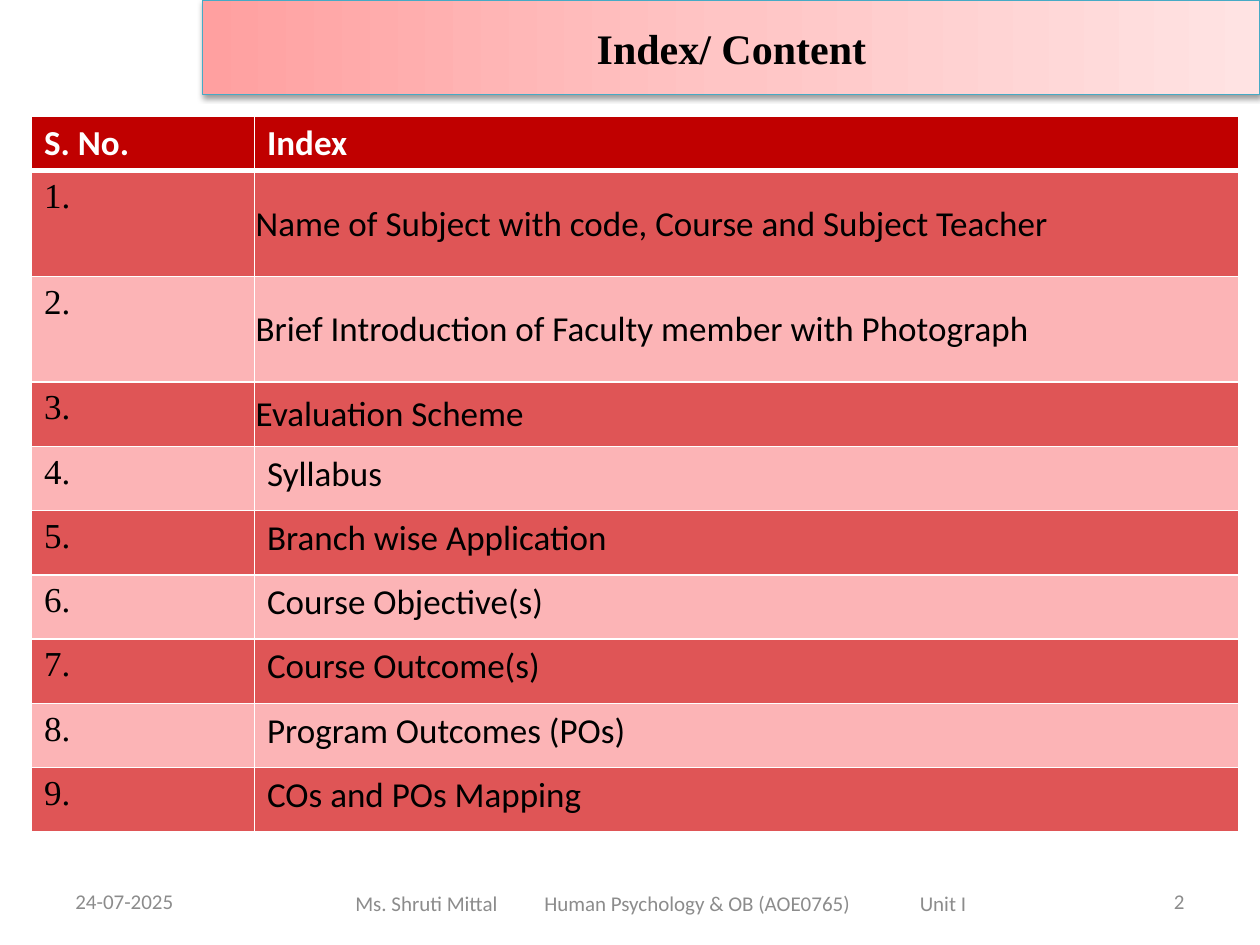
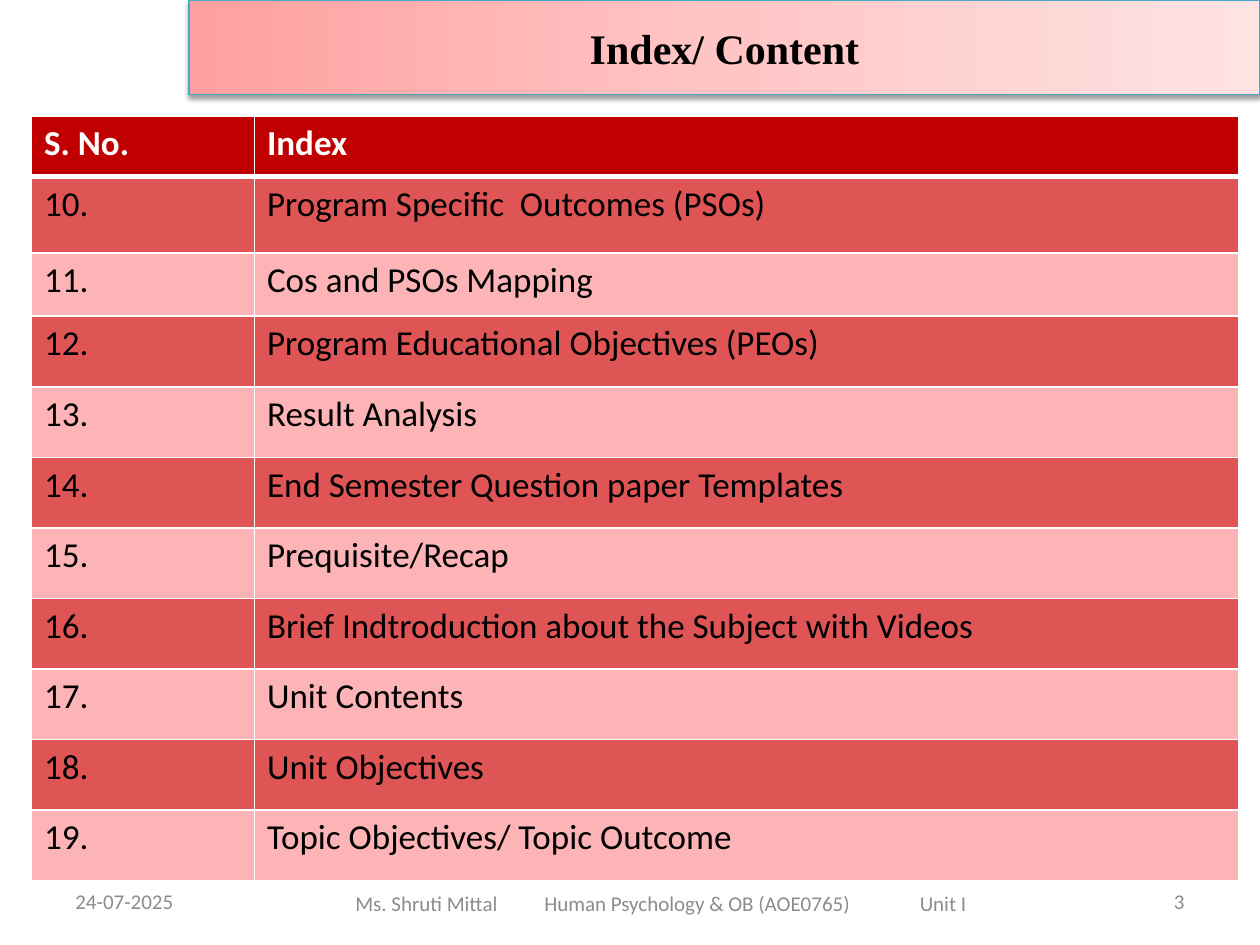
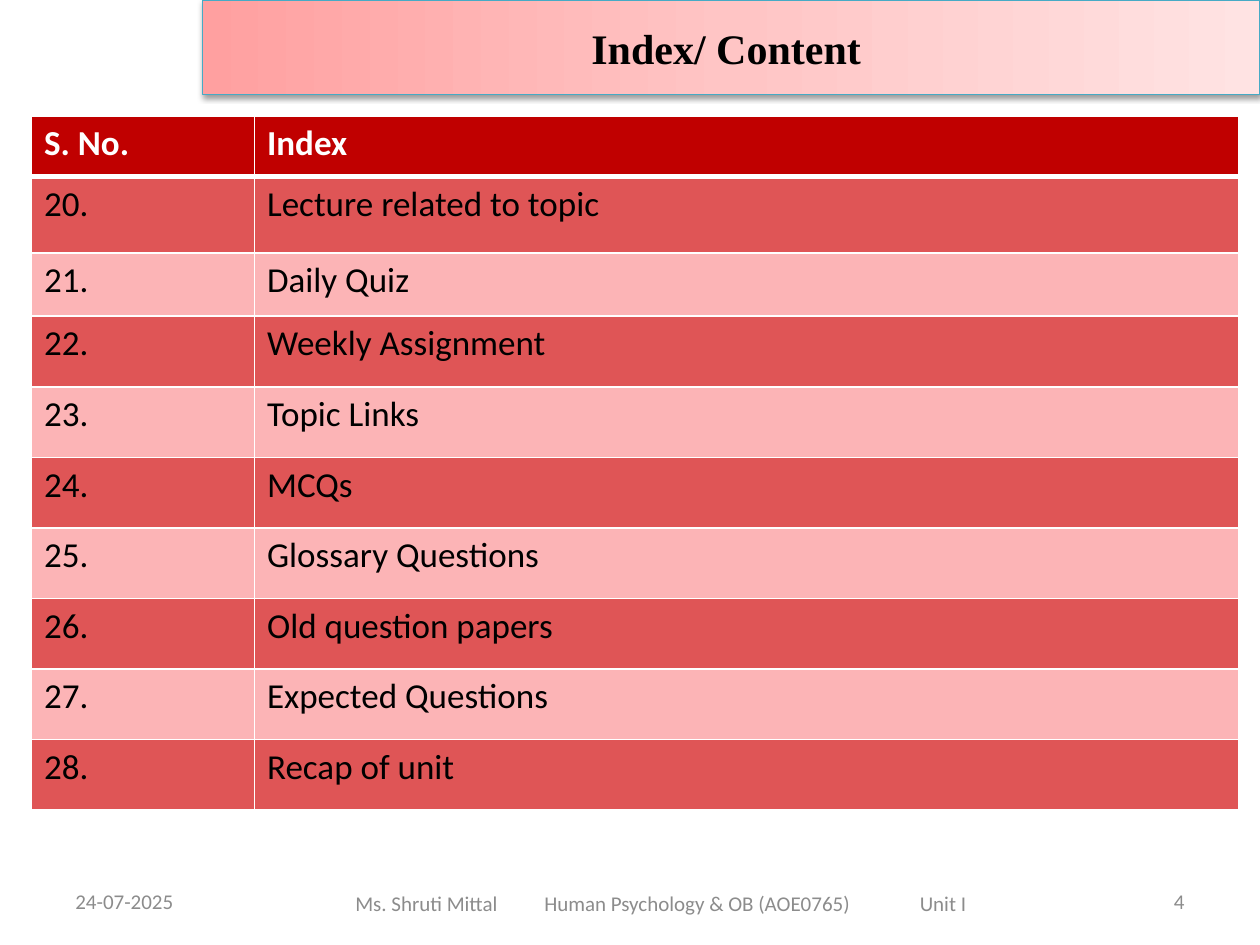
import lxml.etree
import copy
import pptx
import pptx.dml.color
import pptx.enum.shapes
import pptx.enum.text
import pptx.oxml.ns
import pptx.util

Inches = pptx.util.Inches
Pt = pptx.util.Pt
ALIGN = pptx.enum.text.PP_ALIGN
ANCHOR = pptx.enum.text.MSO_ANCHOR
qn = pptx.oxml.ns.qn


def color(hex_value):
    return pptx.dml.color.RGBColor.from_string(hex_value)


def add_element(parent, tag, **attributes):
    return lxml.etree.SubElement(
        parent, qn(tag), {name: str(value) for name, value in attributes.items()})


def write_text(frame, text, *, font="Calibri", size=12, hex_value="000000", bold=False,
               align=ALIGN.LEFT, anchor=ANCHOR.MIDDLE, tabs=()):
    """Fill a text frame or a table cell's frame with one formatted paragraph."""
    frame.word_wrap = True
    frame.vertical_anchor = anchor
    paragraph = frame.paragraphs[0]
    paragraph.alignment = align
    if tabs:
        tab_list = add_element(paragraph._p.get_or_add_pPr(), "a:tabLst")
        for position in tabs:
            add_element(tab_list, "a:tab", pos=Inches(position), algn="l")
    run = paragraph.add_run()
    run.text = text
    run.font.name = font
    run.font.size = Pt(size)
    run.font.bold = bold
    run.font.color.rgb = color(hex_value)


class IndexDeck:
    # Shared style
    SERIF = "Times New Roman"
    BAND_STOPS = ((0, "FFA0A0"), (0.5, "FFC5C5"), (1, "FFE3E3"))
    BAND_LINE = "46AAC5"
    HEADER = "C00000"
    ROW_FILLS = ("DF5556", "FCB4B6")
    WHITE = "FFFFFF"
    FOOTER = "8C8C8C"
    COLUMNS = (1.77, 7.81)

    def __init__(self):
        self.presentation = pptx.Presentation()
        self.presentation.slide_width = Inches(10)
        self.presentation.slide_height = Inches(7.5)
        self.slide = None

    def new_slide(self):
        self.slide = self.presentation.slides.add_slide(self.presentation.slide_layouts[6])

    def text_box(self, left, top, width, height, text, inset=0.1, **text_format):
        box = self.slide.shapes.add_textbox(
            Inches(left), Inches(top), Inches(width), Inches(height))
        box.text_frame.margin_left = Inches(inset)
        write_text(box.text_frame, text, **text_format)

    def footer(self, number):
        self.text_box(2.5, 6.97, 5.5, 0.4,
                      "Ms. Shruti Mittal\tHuman Psychology & OB (AOE0765)\tUnit I",
                      inset=0.32, tabs=(1.5, 4.48), hex_value=self.FOOTER)
        self.text_box(7.17, 6.95, 2.33, 0.4, str(number),
                      align=ALIGN.RIGHT, hex_value=self.FOOTER)
        self.text_box(0.5, 6.95, 2.33, 0.4, "24-07-2025", hex_value=self.FOOTER)

    def title_band(self, left, title):
        band = self.slide.shapes.add_shape(
            pptx.enum.shapes.MSO_SHAPE.RECTANGLE,
            Inches(left), 0, Inches(10 - left), Inches(0.75))
        # Three-stop gradient from left to right
        band.fill.gradient()
        band.fill.gradient_angle = 0
        stop_list = band._element.spPr.find(".//" + qn("a:gsLst"))
        stop_list.append(copy.deepcopy(stop_list[-1]))
        for stop, (position, hex_value) in zip(band.fill.gradient_stops, self.BAND_STOPS):
            stop.position = position
            stop.color.rgb = color(hex_value)
        band.line.color.rgb = color(self.BAND_LINE)
        band.line.width = Pt(0.75)
        # Soft shadow below the band
        band.shadow.inherit = False
        effects = band._element.spPr.find(qn("a:effectLst"))
        shadow = add_element(effects, "a:outerShdw", blurRad=Pt(3.1), dist=Pt(1.6),
                             dir=90 * 60000, rotWithShape=0)
        shadow_color = add_element(shadow, "a:srgbClr", val="000000")
        add_element(shadow_color, "a:alpha", val=38000)
        write_text(band.text_frame, title, font=self.SERIF, size=24, bold=True,
                   align=ALIGN.CENTER)

    def cell_borders(self, cell, row):
        properties = cell._tc.get_or_add_tcPr()
        widths = {"L": 1, "R": 1, "T": 3 if row == 1 else 1, "B": 3 if row == 0 else 1}
        for side, width in widths.items():
            line = add_element(properties, "a:ln" + side, w=Pt(width))
            add_element(add_element(line, "a:solidFill"), "a:srgbClr", val=self.WHITE)

    def index_table(self, first_number, topics, heights, number_font="Calibri", centred_rows=0):
        rows = [("S. No.", "Index")]
        rows += [(f"{number}.", topic) for number, topic in enumerate(topics, first_number)]
        table = self.slide.shapes.add_table(
            len(rows), 2, Inches(0.25), Inches(0.92),
            Inches(sum(self.COLUMNS)), Inches(sum(heights))).table
        for column, width in zip(table.columns, self.COLUMNS):
            column.width = Inches(width)
        for row, (texts, height) in enumerate(zip(rows, heights)):
            table.rows[row].height = Inches(height)
            header = row == 0
            for column, text in enumerate(texts):
                cell = table.cell(row, column)
                self.cell_borders(cell, row)
                cell.fill.solid()
                cell.fill.fore_color.rgb = color(
                    self.HEADER if header else self.ROW_FILLS[(row - 1) % 2])
                write_text(cell.text_frame, text, size=20, bold=header,
                           font=number_font if column == 0 and not header else "Calibri",
                           hex_value=self.WHITE if header else "000000",
                           anchor=ANCHOR.TOP)
                # Leading topics sit at mid height, close to the cell edge
                if column == 1 and 1 <= row <= centred_rows:
                    cell.vertical_anchor = ANCHOR.MIDDLE
                    cell.margin_left = cell.margin_top = cell.margin_right = Inches(0.01)
                    cell.margin_bottom = 0


def main():
    deck = IndexDeck()
    later_heights = [0.48, 0.61, 0.5]
    pages = [
        dict(band_left=1.61, title="Index/ Content", first_number=1,
             heights=[0.43] + [0.84] * 2 + [0.51] * 7,
             number_font=deck.SERIF, centred_rows=3,
             topics=["Name of Subject with code, Course and Subject Teacher",
                     "Brief Introduction of Faculty member with Photograph",
                     "Evaluation Scheme", "Syllabus", "Branch wise Application",
                     "Course Objective(s)", "Course Outcome(s)",
                     "Program Outcomes (POs)", "COs and POs Mapping"]),
        dict(band_left=1.5, title="Index/ Content", first_number=10,
             heights=later_heights + [0.56] * 8,
             topics=["Program Specific  Outcomes (PSOs)", "Cos and PSOs Mapping",
                     "Program Educational Objectives (PEOs)", "Result Analysis",
                     "End Semester Question paper Templates", "Prequisite/Recap",
                     "Brief Indtroduction about the Subject with Videos",
                     "Unit Contents", "Unit Objectives",
                     "Topic Objectives/ Topic Outcome"]),
        dict(band_left=1.61, title="Index/ Content ", first_number=20,
             heights=later_heights + [0.56] * 7,
             topics=["Lecture related to topic", "Daily Quiz", "Weekly Assignment",
                     "Topic Links", "MCQs", "Glossary Questions",
                     "Old question papers", "Expected Questions", "Recap of unit"]),
    ]
    for slide_number, page in enumerate(pages, 2):
        deck.new_slide()
        deck.footer(slide_number)
        deck.title_band(page.pop("band_left"), page.pop("title"))
        deck.index_table(**page)
    deck.presentation.save("out.pptx")


if __name__ == "__main__":
    main()
